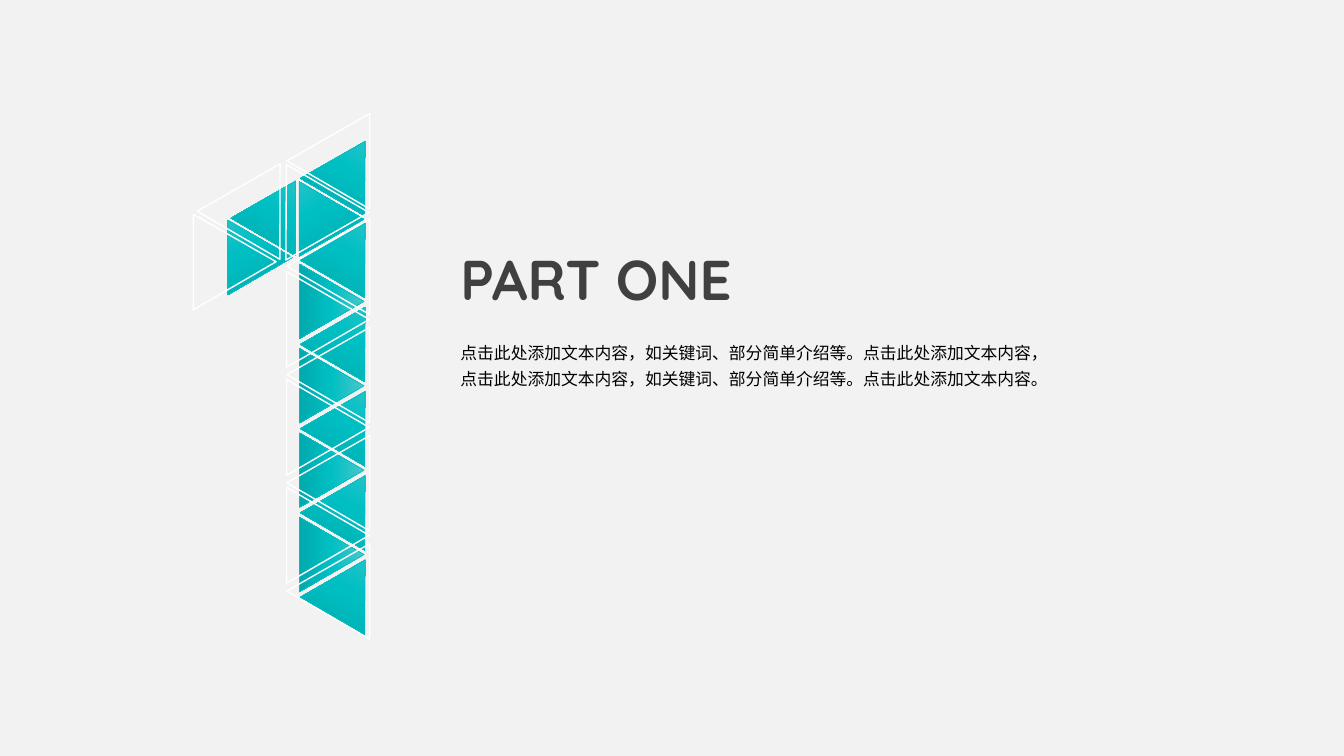
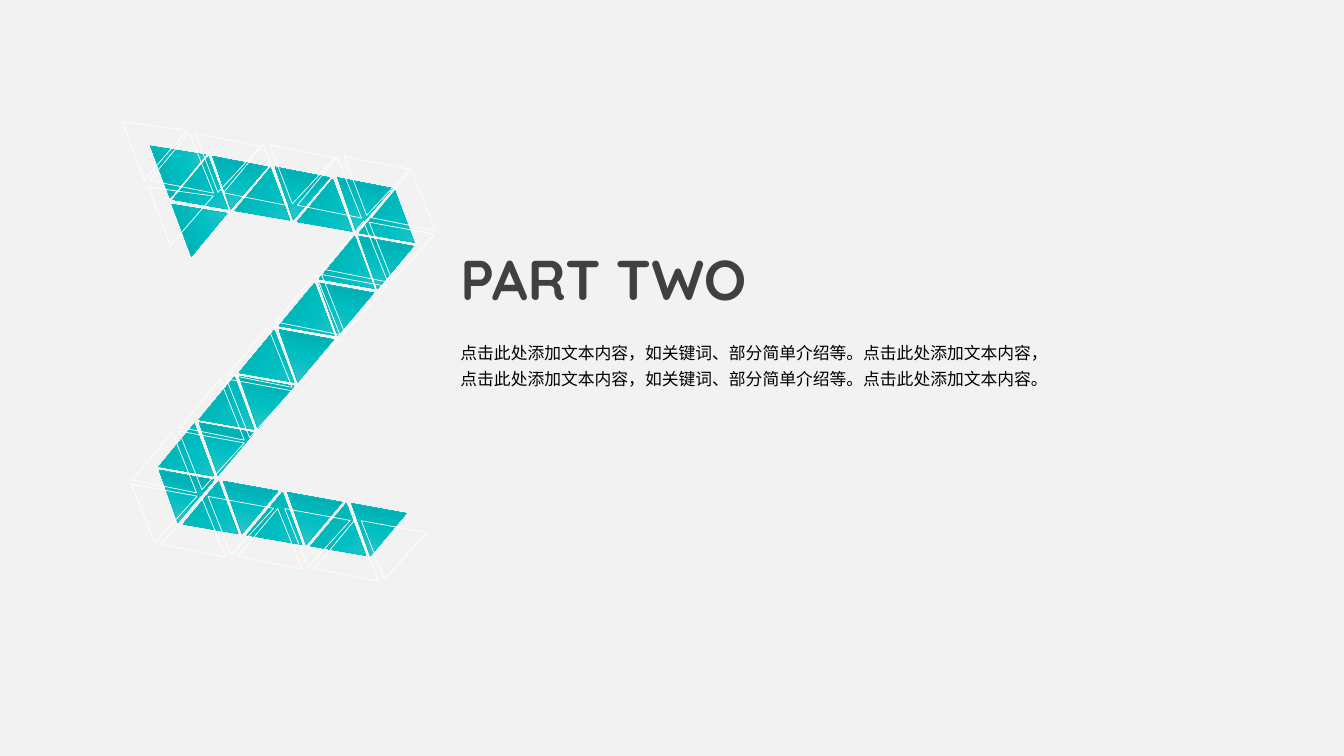
from lxml import etree
from pptx import Presentation
from pptx import util as u
from pptx.dml import color
from pptx.enum import shapes, text
from pptx.oxml import ns

COLORS = {
    "background": "F2F2F2",
    "title": "404040",
    "body": "000000",
    "outline": "FFFFFF",
    "light": "4BC7CB",
    "teal": "00BFC3",
    "dark": "00AAAD",
}
FONT = "Quicksand"
GRADIENT = [(0, "light"), (50, "teal"), (100, "dark")]

INTRODUCTION = (
    "点击此处添加文本内容，如关键词、部分简单介绍等。点击此处添加文本内容，"
    "点击此处添加文本内容，如关键词、部分简单介绍等。点击此处添加文本内容。"
)
TITLE = {
    "box": (11.35, 6.25, 11.05, 1.73),
    "anchor": text.MSO_ANCHOR.MIDDLE,
    "spacing": 0.9,
    "color": "title",
    "font": {"name": FONT, "size": u.Pt(40), "bold": True},
}
BODY = {
    "box": (11.35, 8.36, 15.65, 1.73),
    "anchor": text.MSO_ANCHOR.TOP,
    "spacing": 1.3,
    "color": "body",
    "font": {"name": FONT, "size": u.Pt(12), "bold": False},
}

ONE_SOLID, ONE_OUTLINE = (1.88, 1.63), (2.41, 2.08)
TWO_SOLID, TWO_OUTLINE, TWO_OUTLINE_WIDE = (1.4, 1.22), (1.57, 1.45), (1.68, 1.35)

# Each run: first corner, last corner, count, rotation, size
ONE = {
    "solid": [
        ((5.21, 5.44), (5.21, 5.44), 1, 329.9, ONE_SOLID),
        ((6.1, 4.45), (7.85, 3.45), 2, 30.2, ONE_SOLID),
        ((7.01, 4.47), (7.01, 4.47), 1, 330.2, ONE_SOLID),
        ((7.85, 5.51), (7.85, 14), 5, 30.2, ONE_SOLID),
        ((7.42, 6.78), (7.42, 13.16), 4, 90, ONE_SOLID),
    ],
    "outline": [
        ((4.19, 5.26), (4.19, 5.26), 1, 329.9, ONE_OUTLINE),
        ((5.33, 3.99), (7.59, 2.72), 2, 30.2, ONE_OUTLINE),
        ((6.53, 4.01), (6.53, 4.01), 1, 330.2, ONE_OUTLINE),
        ((7.59, 5.38), (7.59, 13.56), 4, 30.2, ONE_OUTLINE),
        ((7.06, 7.01), (7.06, 12.45), 3, 90, ONE_OUTLINE),
    ],
    "outline_width": 1,
}
TWO = {
    "solid": [
        ((3.91, 3.51), (4.45, 4.98), 2, 69.4, TWO_SOLID),
        ((4.57, 4.27), (9.27, 5.11), 4, 129.7, TWO_SOLID),
        ((5.23, 4.06), (8.38, 4.6), 3, 191, TWO_SOLID),
        ((8.26, 6.27), (4.22, 11), 5, 129.7, TWO_SOLID),
        ((8.92, 6.07), (4.9, 10.77), 5, 190.3, TWO_SOLID),
        ((4.83, 12.45), (8.05, 13), 3, 129.7, TWO_SOLID),
        ((3.89, 11.96), (8.74, 12.8), 4, 190.3, TWO_SOLID),
    ],
    "outline": [
        ((3.25, 2.82), (3.91, 4.47), 2, 69.4, TWO_OUTLINE),
        ((4.04, 3.68), (9.63, 4.62), 4, 129.7, TWO_OUTLINE),
        ((4.78, 3.51), (8.53, 4.09), 3, 191, TWO_OUTLINE_WIDE),
        ((8.43, 5.92), (3.61, 11.23), 5, 129.7, TWO_OUTLINE),
        ((9.17, 5.74), (4.37, 11), 5, 190.3, TWO_OUTLINE_WIDE),
        ((4.34, 12.85), (8.2, 13.46), 3, 129.7, TWO_OUTLINE),
        ((3.18, 12.34), (8.97, 13.26), 4, 190.3, TWO_OUTLINE_WIDE),
    ],
    "outline_width": 0.5,
}


def rgb(name):
    return color.RGBColor.from_string(COLORS[name])


def set_all(target, values):
    for name, value in values.items():
        setattr(target, name, value)


class Deck:
    def __init__(self):
        self.presentation = Presentation()
        set_all(self.presentation, {"slide_width": u.Cm(33.87), "slide_height": u.Cm(19.05)})
        fill = self.presentation.slide_master.background.fill
        fill.solid()
        fill.fore_color.rgb = rgb("background")
        self.slide = None

    def add_slide(self):
        self.slide = self.presentation.slides.add_slide(self.presentation.slide_layouts[1])

    def add_text(self, index, words, style):
        shape = self.slide.placeholders[index]
        sides = ("left", "top", "width", "height")
        set_all(shape, dict(zip(sides, map(u.Cm, style["box"]))))
        frame = shape.text_frame
        frame.text = words
        set_all(frame, {
            "word_wrap": True,
            "auto_size": text.MSO_AUTO_SIZE.NONE,
            "vertical_anchor": style["anchor"],
        })
        paragraph = frame.paragraphs[0]
        set_all(paragraph, {
            "alignment": text.PP_ALIGN.LEFT,
            "line_spacing": style["spacing"],
            "space_before": u.Pt(0),
        })
        properties = paragraph._p.get_or_add_pPr()
        properties.set("marL", "0")
        properties.set("indent", "0")
        etree.SubElement(properties, ns.qn("a:buNone"))
        font = paragraph.runs[0].font
        set_all(font, style["font"])
        font.color.rgb = rgb(style["color"])

    def fill_gradient(self, shape):
        shape.fill.gradient()
        gradient = shape._element.spPr.find(ns.qn("a:gradFill"))
        gradient.set("rotWithShape", "1")
        stops = gradient.find(ns.qn("a:gsLst"))
        for stop in list(stops):
            stops.remove(stop)
        for position, name in GRADIENT:
            stop = etree.SubElement(stops, ns.qn("a:gs"), pos=str(position * 1000))
            etree.SubElement(stop, ns.qn("a:srgbClr"), val=COLORS[name])
        gradient.find(ns.qn("a:lin")).set("ang", str(90 * 60000))

    def add_triangles(self, runs, line_color, line_width, solid):
        group = self.slide.shapes.add_group_shape()
        for first, last, count, rotation, size in runs:
            for step in range(count):
                share = step / max(count - 1, 1)
                corner = [start + (end - start) * share for start, end in zip(first, last)]
                shape = group.shapes.add_shape(
                    shapes.MSO_SHAPE.ISOSCELES_TRIANGLE, *map(u.Cm, (*corner, *size)))
                shape.rotation = rotation
                shape.shadow.inherit = False
                if solid:
                    self.fill_gradient(shape)
                else:
                    shape.fill.background()
                shape.line.color.rgb = rgb(line_color)
                shape.line.width = u.Pt(line_width)

    def add_part(self, title, numeral):
        self.add_slide()
        self.add_text(0, title, TITLE)
        self.add_text(1, INTRODUCTION, BODY)
        self.add_triangles(numeral["solid"], "teal", 0.5, True)
        self.add_triangles(numeral["outline"], "outline", numeral["outline_width"], False)


def main():
    deck = Deck()
    for title, numeral in (("PART ONE", ONE), ("PART TWO", TWO)):
        deck.add_part(title, numeral)
    deck.presentation.save("out.pptx")


if __name__ == "__main__":
    main()
